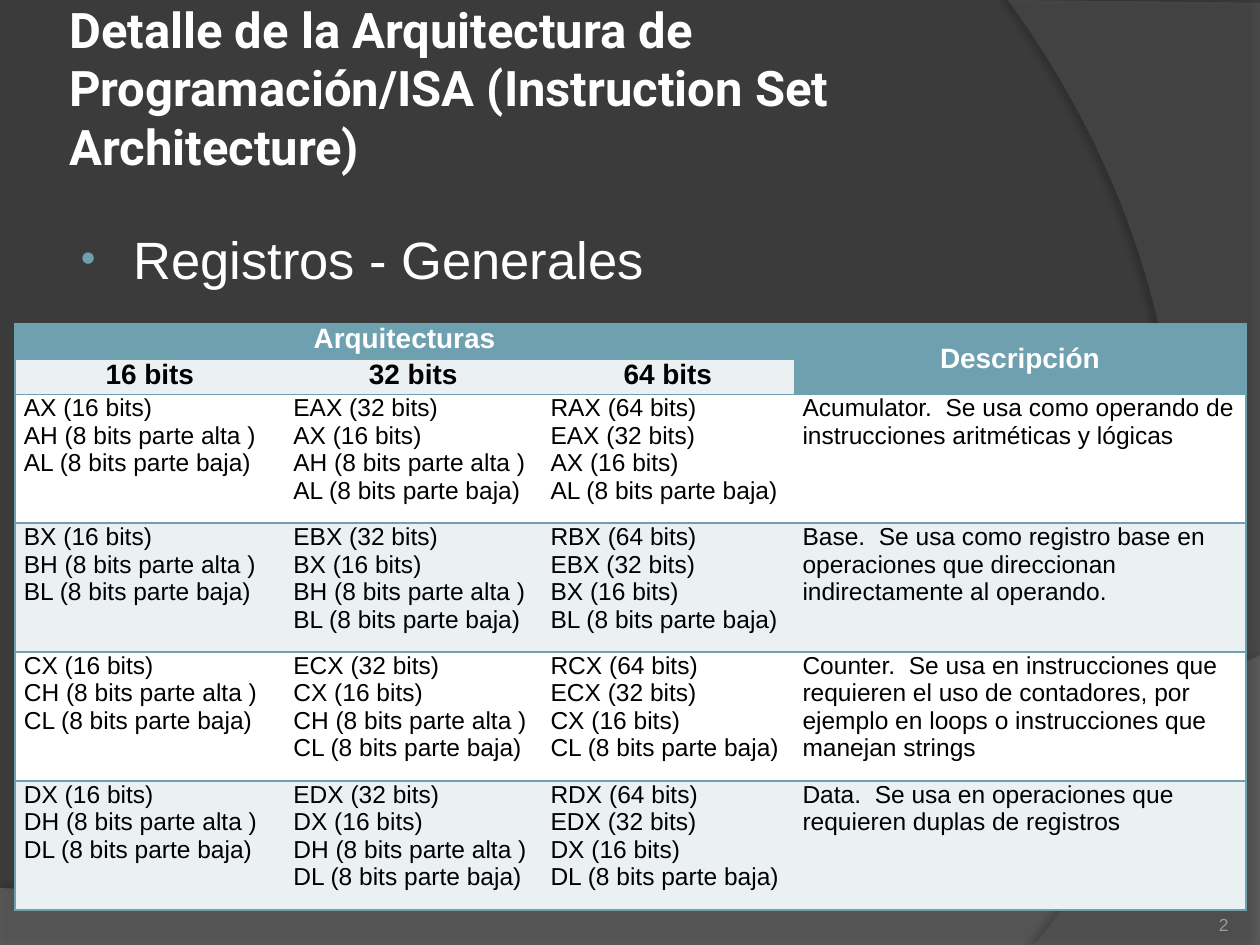
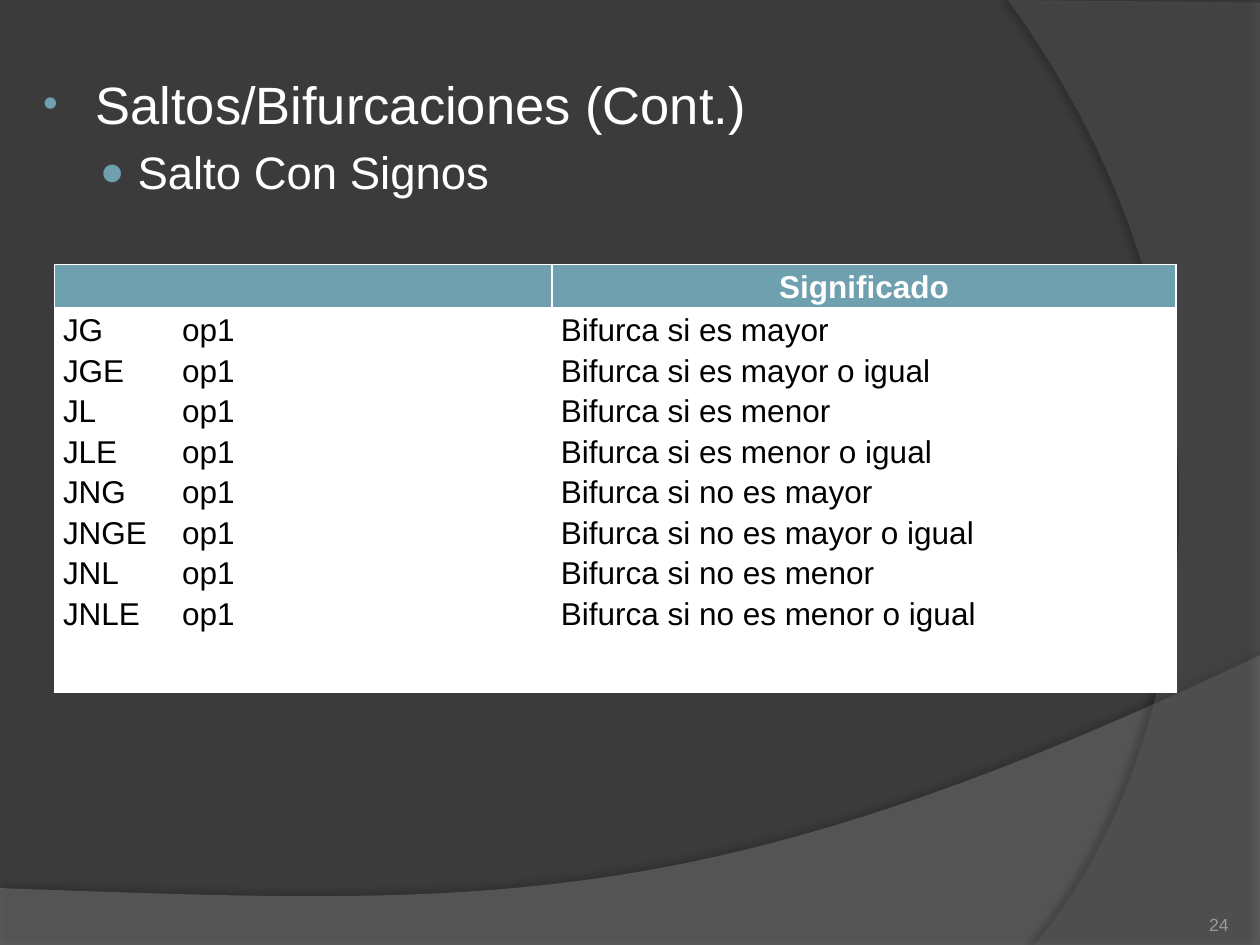
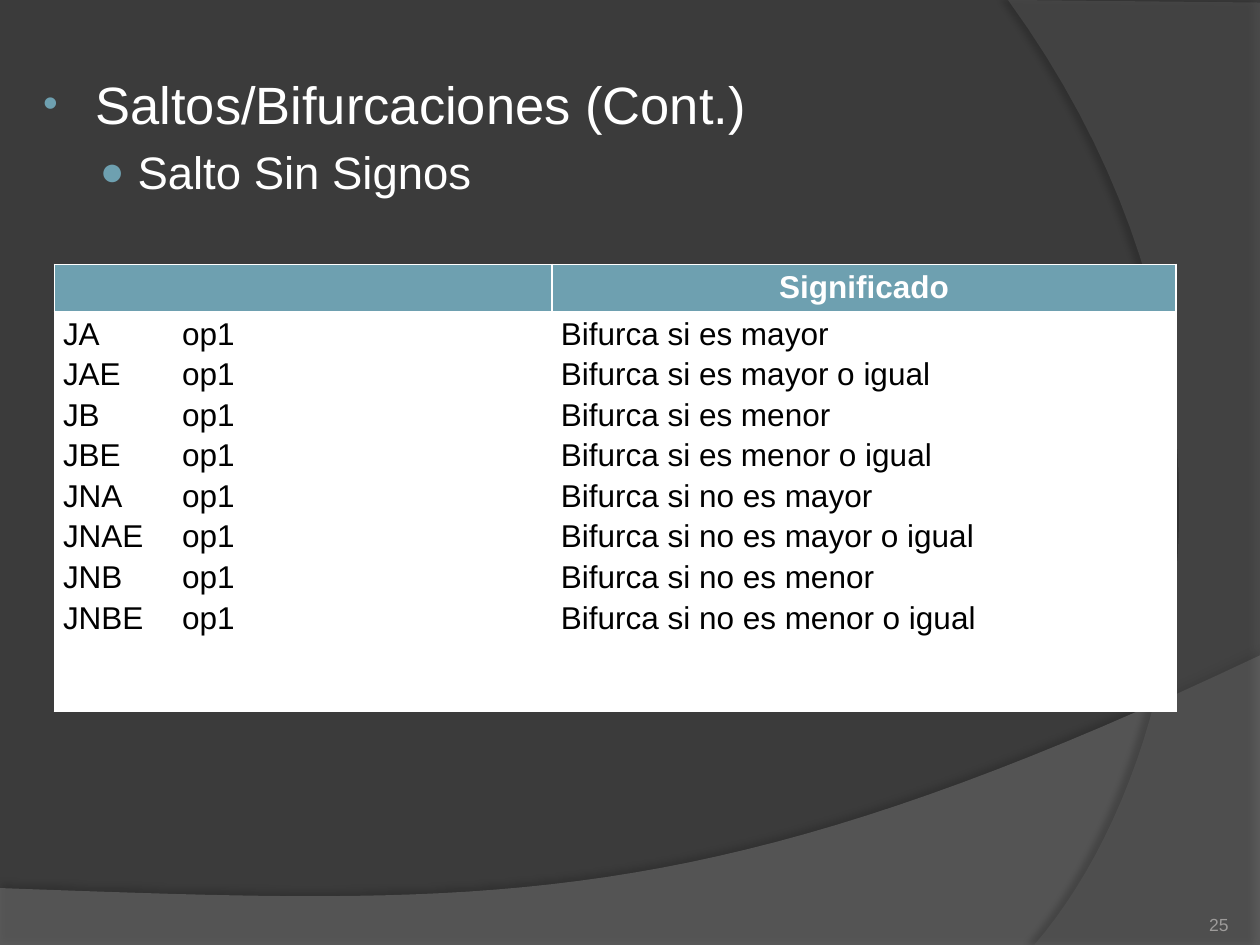
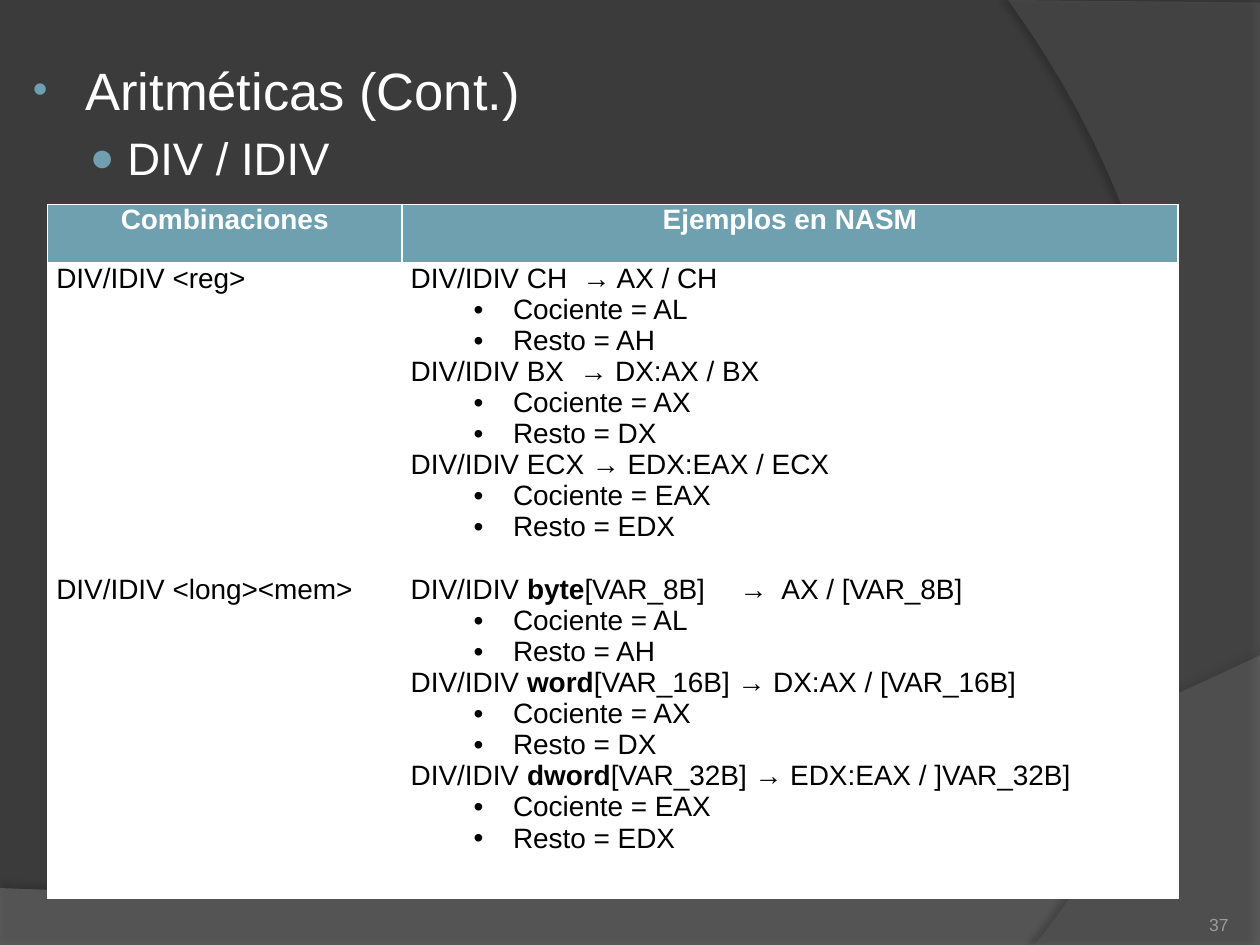
from collections import namedtuple
from dataclasses import dataclass

from lxml.etree import SubElement
from pptx import Presentation
from pptx.dml.color import RGBColor
from pptx.enum.text import MSO_ANCHOR as ANCHOR, MSO_AUTO_SIZE as AUTOSIZE, PP_ALIGN as ALIGN
from pptx.oxml.ns import qn
from pptx.util import Pt


@dataclass(frozen=True)
class Theme:
    """Colours, fonts and type sizes of the deck."""
    back: str = "3B3B3B"
    wave: str = "7F7F7F"
    arc: str = "5E5E5E"
    shade: str = "000000"
    accent: str = "6EA0B0"
    band: str = "EBF0F2"
    light: str = "FFFFFF"
    dark: str = "000000"
    muted: str = "9D9B9A"
    title_font: str = "Roboto"
    font: str = "Arial"
    title: int = 28
    topic: int = 30
    subtopic: int = 26
    jump: int = 18
    heading: int = 16
    register: int = 14
    number: int = 10


THEME = Theme()
Bullet = namedtuple("Bullet", "char level left hang color percent size")
TOPIC = Bullet("•", 0, 33, 30, THEME.accent, 80, THEME.topic)
SUBTOPIC = Bullet("●", 1, 57, 21.5, THEME.accent, 90, THEME.subtopic)
RESULT = Bullet("•", 1, 58.5, 22.5, THEME.dark, 100, THEME.heading)
NO_STYLE = "{2D5ABB26-0587-4C30-8999-92F81FD0307C}"


def write(holder, lines, size=THEME.heading, color=THEME.dark, font=THEME.font, bold=False,
          align=ALIGN.LEFT, anchor=ANCHOR.TOP, margins=(5, 0, 5, 0), spacing=None, tab=None,
          gaps=None):
    """Fill a cell or text frame; a line is text or (text, Bullet), and *stars* mark bold."""
    frame = getattr(holder, "text_frame", holder)
    holder.margin_left, holder.margin_top, holder.margin_right, holder.margin_bottom = map(Pt, margins)
    holder.vertical_anchor = anchor
    for index, line in enumerate(lines):
        text, bullet = (line, None) if isinstance(line, str) else line
        paragraph = frame.add_paragraph() if index else frame.paragraphs[0]
        paragraph.alignment = align
        if spacing:
            paragraph.line_spacing = spacing
        if gaps and index in gaps:
            paragraph.space_before = Pt(gaps[index])
        props = paragraph._p.get_or_add_pPr()
        if bullet:
            paragraph.level = bullet.level
            props.set("marL", str(Pt(bullet.left)))
            props.set("indent", str(-Pt(bullet.hang)))
            SubElement(SubElement(props, qn("a:buClr")), qn("a:srgbClr"), val=bullet.color)
            SubElement(props, qn("a:buSzPct"), val=str(bullet.percent * 1000))
            SubElement(props, qn("a:buFont"), typeface=THEME.font)
            SubElement(props, qn("a:buChar"), char=bullet.char)
        if tab:
            SubElement(SubElement(props, qn("a:tabLst")), qn("a:tab"), pos=str(Pt(tab)), algn="l")
        for part, words in enumerate(text.split("*")):
            if words:
                run = paragraph.add_run()
                run.text = words
                run.font.name = font
                run.font.size = Pt(bullet.size if bullet else size)
                run.font.bold = bold or part % 2 == 1
                run.font.color.rgb = RGBColor.from_string(color)


def paint(cell, fill, line, sides="LRTB"):
    """Give a cell its fill and 1 pt borders on the named sides."""
    props = cell._tc.get_or_add_tcPr()
    for side in sides:
        border = SubElement(props, qn("a:ln" + side), w=str(Pt(1)))
        SubElement(SubElement(border, qn("a:solidFill")), qn("a:srgbClr"), val=line)
    cell.fill.solid()
    cell.fill.fore_color.rgb = RGBColor.from_string(fill)


deck = Presentation()
deck.slide_width, deck.slide_height = Pt(720), Pt(540)
master = deck.slide_master
master.background.fill.solid()
master.background.fill.fore_color.rgb = RGBColor.from_string(THEME.back)

# Slides with their title, list, number and empty table
Page = namedtuple("Page", "number title topics body corner columns rows")
JUMPS = "Saltos/Bifurcaciones (Cont.)"
pages = [
    Page("2", "Detalle de la Arquitectura de Programación/ISA (Instruction Set Architecture)",
         ["Registros - Generales"], (36, 126, 588, 47.5), (8.64, 185),
         (154, 147, 144, 258.5), (20.16, 20.16) + (73.7,) * 4),
    Page("24", None, [JUMPS, "Salto Con Signos"], (14.4, 37.4, 692, 465), (31, 151),
         (284.5, 356.5), (24, 220)),
    Page("25", None, [JUMPS, "Salto Sin Signos"], (14.4, 37.4, 692, 465), (31, 151),
         (284.5, 356.5), (27, 228.5)),
    Page("37", None, ["Aritméticas (Cont.)", "DIV / IDIV"], (8.64, 29.3, 692, 416), (27.2, 116.8),
         (202.5, 443.5), (33.5, 356)),
]
tables = []
for page in pages:
    slide = deck.slides.add_slide(deck.slide_layouts[1])
    title, topics = slide.placeholders
    if page.title:
        title.left, title.top, title.width, title.height = map(Pt, (36, 21.6, 588, 90))
        title.text_frame.auto_size = AUTOSIZE.NONE
        write(title.text_frame, [page.title], size=THEME.title, color=THEME.light, bold=True,
              font=THEME.title_font, anchor=ANCHOR.MIDDLE, margins=(3.6, 3.6, 3.6, 37))
    else:
        title.element.getparent().remove(title.element)
    topics.left, topics.top, topics.width, topics.height = map(Pt, page.body)
    topics.text_frame.auto_size = AUTOSIZE.NONE
    write(topics.text_frame, list(zip(page.topics, (TOPIC, SUBTOPIC))), color=THEME.light,
          margins=(7.2, 3.6, 7.2, 3.6))
    number = slide.shapes.add_textbox(Pt(642), Pt(505.5), Pt(60), Pt(28.8)).text_frame
    number.word_wrap = True
    write(number, [page.number], size=THEME.number, color=THEME.muted, align=ALIGN.RIGHT,
          anchor=ANCHOR.BOTTOM, margins=(0, 0, 0, 0))
    graphic = slide.shapes.add_table(len(page.rows), len(page.columns), *map(Pt, page.corner),
                                     Pt(sum(page.columns)), Pt(sum(page.rows)))
    table = graphic.table
    table._tbl.tblPr.find(qn("a:tableStyleId")).text = NO_STYLE
    for column, width in zip(table.columns, page.columns):
        column.width = Pt(width)
    for row, height in zip(table.rows, page.rows):
        row.height = Pt(height)
    tables.append(table)

# Two translucent bands on the master: straight corners, then a curve back to the start
Band = namedtuple("Band", "corners curve color alpha shade_alpha distance direction")
bands = [
    Band([(0, 507.5), (0, 540.5), (720, 540.5), (720, 374.5)],
         [(720, 374.5), (402.5, 525), (281.5, 517.5), (0, 507.5)], THEME.wave, 45, 35, 3.5, 270),
    Band([(720, 1.5), (720, 540), (591, 540)],
         [(591, 540), (673, 445.5), (733, 216), (576, 0)], THEME.arc, 40, 45, 4, 180),
]
STEPS = 40
for order, band in enumerate(bands):
    points = list(band.corners)
    for step in range(1, STEPS + 1):
        t = step / STEPS
        weights = ((1 - t) ** 3, 3 * t * (1 - t) ** 2, 3 * t * t * (1 - t), t ** 3)
        points.append(tuple(sum(w * p[axis] for w, p in zip(weights, band.curve)) for axis in (0, 1)))
    corners = [(Pt(x), Pt(y)) for x, y in points]
    outline = deck.slides[0].shapes.build_freeform(*corners[0])
    outline.add_line_segments(corners[1:], close=True)
    shape = outline.convert_to_shape()
    shape.fill.solid()
    shape.fill.fore_color.rgb = RGBColor.from_string(band.color)
    shape.line.fill.background()
    shape.shadow.inherit = False
    props = shape.element.spPr
    color = props.find(qn("a:solidFill")).find(qn("a:srgbClr"))
    SubElement(color, qn("a:alpha"), val=str(band.alpha * 1000))
    shadow = SubElement(props.find(qn("a:effectLst")), qn("a:outerShdw"), blurRad=str(Pt(4)),
                        dist=str(Pt(band.distance)), dir=str(band.direction * 60000))
    shade = SubElement(shadow, qn("a:srgbClr"), val=THEME.shade)
    SubElement(shade, qn("a:alpha"), val=str(band.shade_alpha * 1000))
    shape.element.nvSpPr.cNvPr.set("id", str(100 + order))
    master.element.cSld.spTree.insert(2 + order, shape.element)

# General registers
registers = tables[0]
uses = {
    "A": "Acumulator.  Se usa como operando de instrucciones aritméticas y lógicas",
    "B": "Base.  Se usa como registro base en operaciones que direccionan indirectamente al operando.",
    "C": "Counter.  Se usa en instrucciones que requieren el uso de contadores, por ejemplo en "
         "loops o instrucciones que manejan strings",
    "D": "Data.  Se usa en operaciones que requieren duplas de registros",
}
row_fills = [THEME.accent, THEME.band] + [THEME.light, THEME.band] * 2
for r, fill in enumerate(row_fills):
    for c in range(4):
        sides = {0: "LTB", 3: "RTB"}.get(c, "TB")
        paint(registers.cell(r, c), THEME.accent if c == 3 and r < 2 else fill, THEME.accent, sides)
registers.cell(0, 0).merge(registers.cell(0, 2))
registers.cell(0, 3).merge(registers.cell(1, 3))
write(registers.cell(0, 0), ["Arquitecturas"], color=THEME.light, bold=True, align=ALIGN.CENTER)
write(registers.cell(0, 3), ["Descripción"], color=THEME.light, bold=True, align=ALIGN.CENTER,
      anchor=ANCHOR.MIDDLE)
for c, bits in enumerate((16, 32, 64)):
    write(registers.cell(1, c), [f"{bits} bits"], bold=True, align=ALIGN.CENTER)
for r, (letter, use) in enumerate(uses.items(), start=2):
    word = f"{letter}X (16 bits)"
    high, low = f"{letter}H (8 bits parte alta )", f"{letter}L (8 bits parte baja)"
    double, quad = f"E{letter}X (32 bits)", f"R{letter}X (64 bits)"
    contents = [[word, high, low], [double, word, high, low], [quad, double, word, low], [use]]
    for c, lines in enumerate(contents):
        write(registers.cell(r, c), lines, size=THEME.register)

# Jumps and divisions: a heading row over one tall row
conditions = ["mayor", "mayor o igual", "menor", "menor o igual"]
meanings = [f"Bifurca si {verb} {condition}" for verb in ("es", "no es") for condition in conditions]
for table, codes in zip(tables[1:3], ("G GE L LE", "A AE B BE")):
    jumps = [f"J{negation}{code}\top1" for negation in ("", "N") for code in codes.split()]
    for c, (heading, lines) in enumerate((("", jumps), ("Significado", meanings))):
        paint(table.cell(0, c), THEME.accent, THEME.light)
        paint(table.cell(1, c), THEME.light, THEME.light)
        write(table.cell(0, c), [heading], size=THEME.jump, color=THEME.light, bold=True,
              align=ALIGN.CENTER, spacing=1.15)
        write(table.cell(1, c), lines, size=THEME.jump, spacing=1.15, tab=None if c else 68)

divisions = tables[3]
operations = [
    ("CH  → AX / CH", "AL", "AH"),
    ("BX  → DX:AX / BX", "AX", "DX"),
    ("ECX → EDX:EAX / ECX", "EAX", "EDX"),
    ("*byte*[VAR_8B]\t→  AX / [VAR_8B]", "AL", "AH"),
    ("*word*[VAR_16B] → DX:AX / [VAR_16B]", "AX", "DX"),
    ("*dword*[VAR_32B] → EDX:EAX / ]VAR_32B]", "EAX", "EDX"),
]
examples = []
for operation, quotient, remainder in operations:
    examples += [f"DIV/IDIV {operation}", (f"Cociente = {quotient}", RESULT),
                 (f"Resto = {remainder}", RESULT)]
LINE = 17.8
combinations = ["DIV/IDIV <reg>", "DIV/IDIV <long><mem>"]
columns = [("Combinaciones", combinations, {1: 9 * LINE}, None),
           ("Ejemplos en NASM", examples, {9: LINE}, 188)]
for c, (heading, lines, gaps, tab) in enumerate(columns):
    paint(divisions.cell(0, c), THEME.accent, THEME.light)
    paint(divisions.cell(1, c), THEME.light, THEME.light)
    write(divisions.cell(0, c), [heading], color=THEME.light, bold=True, align=ALIGN.CENTER)
    write(divisions.cell(1, c), lines, gaps=gaps, tab=tab)

deck.save("out.pptx")
